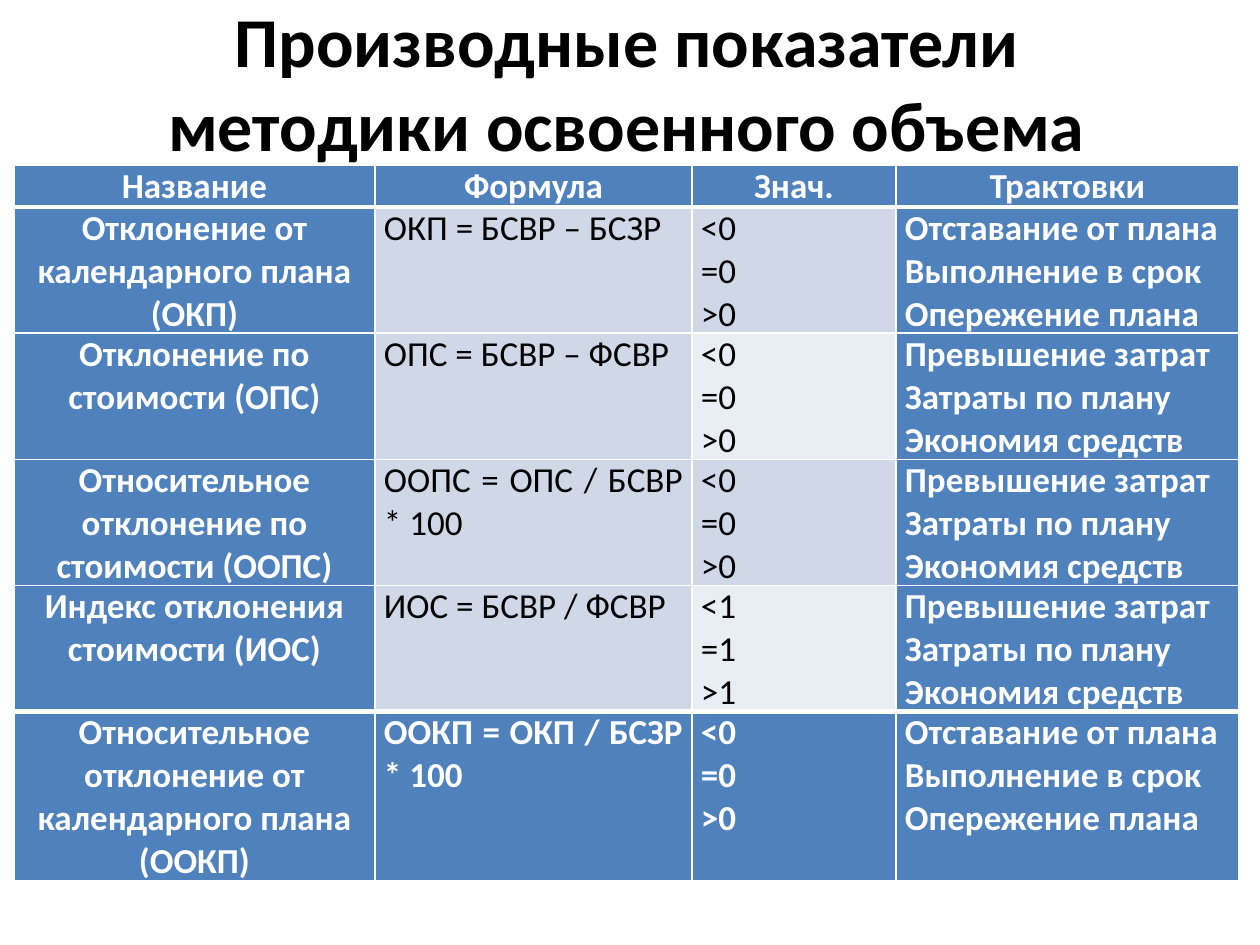
import pptx
import pptx.util
import pptx.dml.color
import pptx.enum.text
import pptx.oxml

EMU_PER_PX = 914400 // 126
ALIGN = pptx.enum.text.PP_ALIGN
BLUE, PALE, LIGHT = "4F81BD", "D0D8E8", "E9EDF4"
WHITE, BLACK = "FFFFFF", "000000"

SCHEDULE = "Отставание от плана\nВыполнение в срок\nОпережение плана"
COST = "Превышение затрат\nЗатраты по плану\nЭкономия средств"
ROWS = [
    ("Название", "Формула", "Знач.", "Трактовки"),
    ("Отклонение от календарного плана (ОКП)", "ОКП = БСВР – БСЗР",
     "<0\n=0\n>0", SCHEDULE),
    ("Отклонение по стоимости (ОПС)", "ОПС = БСВР – ФСВР",
     "<0\n=0\n>0", COST),
    ("Относительное отклонение по стоимости (ООПС)",
     "ООПС = ОПС / БСВР * 100", "<0\n=0\n>0", COST),
    ("Индекс отклонения стоимости (ИОС)", "ИОС = БСВР / ФСВР",
     "<1\n=1\n>1", COST),
    ("Относительное отклонение от календарного плана (ООКП)",
     "ООКП = ОКП / БСЗР * 100", "<0\n=0\n>0", SCHEDULE),
]
COL_WIDTHS = [361, 317, 204, 343]
ROW_HEIGHTS = [42, 126, 126, 126, 126, 169]


def px(n):
    """Turn whole pixels into EMU."""
    return pptx.util.Emu(n * EMU_PER_PX)


def rgb(color):
    """Turn a hex string into a colour."""
    return pptx.dml.color.RGBColor.from_string(color)


def write(tf, text, size, color, bold, align):
    """Fill a text frame, one paragraph a line."""
    font = {"name": "Calibri", "size": pptx.util.Pt(size), "bold": bold}
    for i, line in enumerate(text.split("\n")):
        p = tf.add_paragraph() if i else tf.paragraphs[0]
        p.alignment = align
        r = p.add_run()
        r.text = line
        r.font.color.rgb = rgb(color)
        for key, value in font.items():
            setattr(r.font, key, value)


def set_borders(cell, top, bottom):
    """Draw white cell borders; top and bottom widths are in points."""
    tc_pr = cell._tc.get_or_add_tcPr()
    widths = {"lnL": 1, "lnR": 1, "lnT": top, "lnB": bottom}
    for i, (tag, width) in enumerate(widths.items()):
        ln = pptx.oxml.parse_xml(
            f'<a:{tag} xmlns:a="http://schemas.openxmlformats.org/drawingml/2006/main"'
            f' w="{pptx.util.Pt(width)}"><a:solidFill><a:srgbClr val="{WHITE}"/>'
            f'</a:solidFill></a:{tag}>')
        tc_pr.insert(i, ln)


def add_title(s, x, y, w, h):
    """Place the slide title in the given box."""
    tf = s.shapes.add_textbox(px(x), px(y), px(w), px(h)).text_frame
    tf.word_wrap = True
    write(tf, "Производные показатели методики освоенного объема",
          40, BLACK, True, ALIGN.CENTER)


def add_indicators(s, x, y):
    """Place the table of indicators with its corner at x, y."""
    last = len(ROWS) - 1
    table = s.shapes.add_table(len(ROWS), len(COL_WIDTHS), px(x), px(y),
                               px(sum(COL_WIDTHS)), px(sum(ROW_HEIGHTS))).table
    for col, width in zip(table.columns, COL_WIDTHS):
        col.width = px(width)
    for row, height in zip(table.rows, ROW_HEIGHTS):
        row.height = px(height)
    margins = {"margin_left": px(9), "margin_right": px(9),
               "margin_top": 0, "margin_bottom": 0}
    for i, texts in enumerate(ROWS):
        for j, text in enumerate(texts):
            cell = table.cell(i, j)
            for key, value in margins.items():
                setattr(cell, key, value)
            strong = i in (0, last) or j in (0, 3)
            banded = LIGHT if j == 2 and i % 2 == 0 else PALE
            cell.fill.solid()
            cell.fill.fore_color.rgb = rgb(BLUE if strong else banded)
            centred = i == 0 or j == 0
            write(cell.text_frame, text, 20, WHITE if strong else BLACK, strong,
                  ALIGN.CENTER if centred else ALIGN.JUSTIFY)
            set_borders(cell, 3 if i in (1, last) else 1,
                        3 if i in (0, last - 1) else 1)


def main():
    """Build and save the slide."""
    prs = pptx.Presentation()
    prs.slide_width, prs.slide_height = px(1260), px(945)
    s = prs.slides.add_slide(prs.slide_layouts[6])
    add_title(s, 67, -9, 1119, 183)
    add_indicators(s, 14, 165)
    prs.save("out.pptx")


main()
